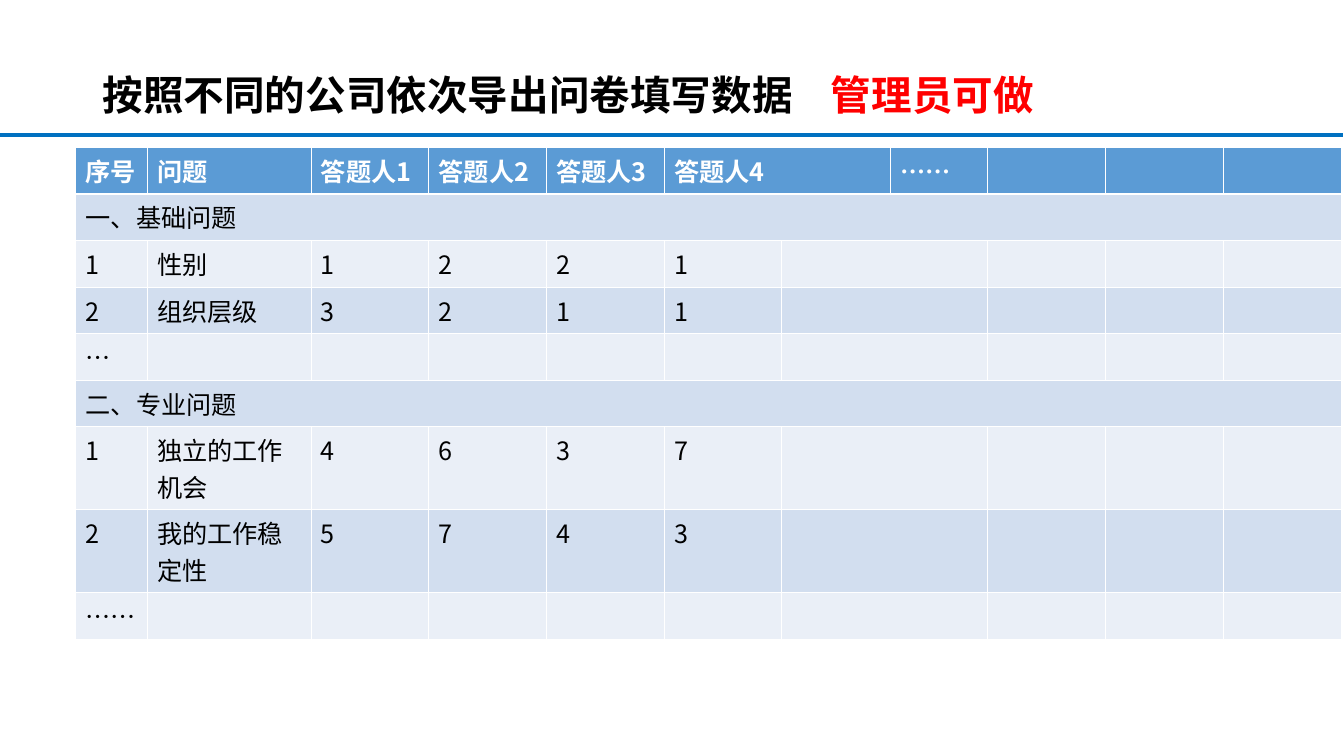
import pptx
import pptx.dml.color
import pptx.enum.shapes
import pptx.enum.text
import pptx.oxml.ns
import pptx.util
from lxml import etree

Inches = pptx.util.Inches
Pt = pptx.util.Pt
FONT = "Noto Sans CJK SC"
HEADER_FILL, DARK_BAND, LIGHT_BAND = "5B9BD5", "D2DEEF", "EAEFF7"
COLUMN_WIDTHS = [0.71, 1.63] + [1.17] * 4 + [1.08, 0.97] + [1.17] * 3
ROW_HEIGHTS = [0.46] * 6 + [0.82] * 2 + [0.46]
ANSWER_ROWS = [
    ["序号", "问题", "答题人1", "答题人2", "答题人3", "答题人4", "", "……"],
    ["一、基础问题"],
    ["1", "性别", "1", "2", "2", "1"],
    ["2", "组织层级", "3", "2", "1", "1"],
    ["…"],
    ["二、专业问题"],
    ["1", "独立的工作机会", "4", "6", "3", "7"],
    ["2", "我的工作稳定性", "5", "7", "4", "3"],
    ["……"],
]
SECTION_ROWS = (1, 5)


def color(value):
    """Return the colour for a hex string."""
    return pptx.dml.color.RGBColor.from_string(value)


def add_xml(parent, tag, **attributes):
    """Append a DrawingML element to a parent and return it."""
    return etree.SubElement(parent, pptx.oxml.ns.qn(tag), attributes)


def style_span(span, size, value, bold):
    """Give a run its font, size, colour and weight."""
    span.font.name = FONT
    span.font.size = Pt(size)
    span.font.bold = bold
    span.font.color.rgb = color(value)
    add_xml(span.font._element, "a:ea", typeface=FONT)


def draw_title(page, left, top, width, height):
    """Place the two-colour heading in its box."""
    box = page.shapes.add_textbox(Inches(left), Inches(top), Inches(width), Inches(height))
    frame = box.text_frame
    frame.word_wrap = True
    frame.vertical_anchor = pptx.enum.text.MSO_ANCHOR.MIDDLE
    para = frame.paragraphs[0]
    para.line_spacing = 1.5
    tabs = add_xml(para._p.get_or_add_pPr(), "a:tabLst")
    add_xml(tabs, "a:tab", pos=str(Inches(7.23)), algn="l")
    for text, value in (("按照不同的公司依次导出问卷填写数据\t", "000000"), ("管理员可做", "FF0000")):
        span = para.add_run()
        span.text = text
        style_span(span, 29, value, True)


def draw_rule(page, left, top, width):
    """Draw the blue line under the heading."""
    rule = page.shapes.add_connector(
        pptx.enum.shapes.MSO_CONNECTOR.STRAIGHT,
        Inches(left), Inches(top), Inches(left + width), Inches(top))
    rule.line.color.rgb = color("0070C0")
    rule.line.width = Pt(3)
    add_xml(rule._element.spPr, "a:effectLst")


def style_cell(cell, row):
    """Give a cell its white borders, band fill and text style."""
    widths = {
        "L": 0.45,
        "R": 0.45,
        "T": 1.47 if row == 1 else 0.45,
        "B": 1.47 if row == 0 else 0.45,
    }
    properties = cell._tc.get_or_add_tcPr()
    for side, width in widths.items():
        border = add_xml(properties, f"a:ln{side}", w=str(Pt(width)))
        add_xml(add_xml(border, "a:solidFill"), "a:srgbClr", val="FFFFFF")
    band = DARK_BAND if row % 2 else LIGHT_BAND
    cell.fill.solid()
    cell.fill.fore_color.rgb = color(band if row else HEADER_FILL)
    if row == 0:
        cell.margin_right = Inches(0.05)
    for span in cell.text_frame.paragraphs[0].runs:
        style_span(span, 18, "000000" if row else "FFFFFF", row == 0)


def draw_answer_table(page, left, top, width, height):
    """Place the questionnaire table in its box."""
    table = page.shapes.add_table(
        len(ROW_HEIGHTS), len(COLUMN_WIDTHS),
        Inches(left), Inches(top), Inches(width), Inches(height)).table
    for column, share in zip(table.columns, COLUMN_WIDTHS):
        column.width = Inches(width * share / sum(COLUMN_WIDTHS))
    for index, (row, share) in enumerate(zip(table.rows, ROW_HEIGHTS)):
        row.height = Inches(height * share / sum(ROW_HEIGHTS))
        for cell, text in zip(row.cells, ANSWER_ROWS[index]):
            if text:
                cell.text_frame.text = text
        for cell in row.cells:
            style_cell(cell, index)
        if index in SECTION_ROWS:
            first, last = 0, len(COLUMN_WIDTHS) - 1
        else:
            first, last = (5, 6) if index == 0 else (6, 7)
        table.cell(index, first).merge(table.cell(index, last))


def main():
    """Build the slide and save the deck."""
    deck = pptx.Presentation()
    deck.slide_width, deck.slide_height = Inches(13.34), Inches(7.5)
    page = deck.slides.add_slide(deck.slide_layouts[6])
    draw_rule(page, 0, 1.34, 13.33)
    draw_title(page, 0.92, 0.4, 11.5, 0.83)
    draw_answer_table(page, 0.75, 1.46, 12.56, 4.88)
    deck.save("out.pptx")


if __name__ == "__main__":
    main()
